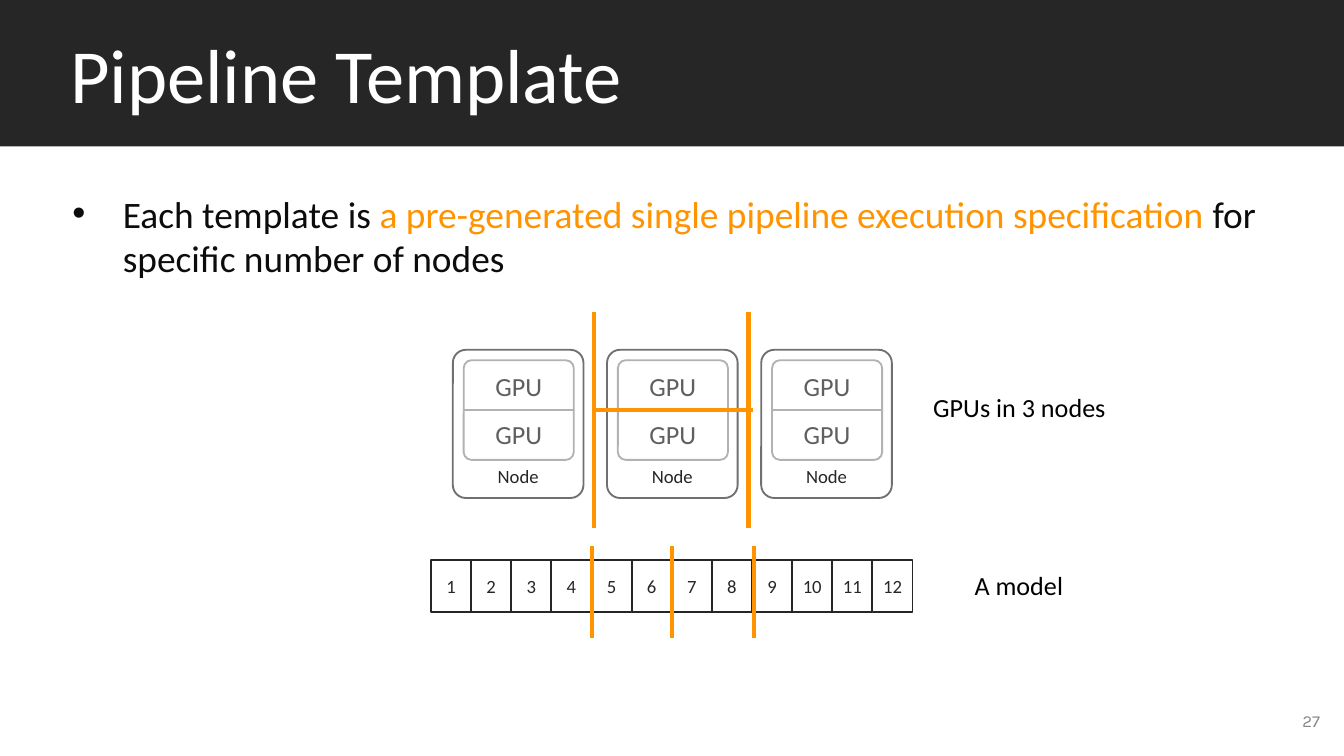
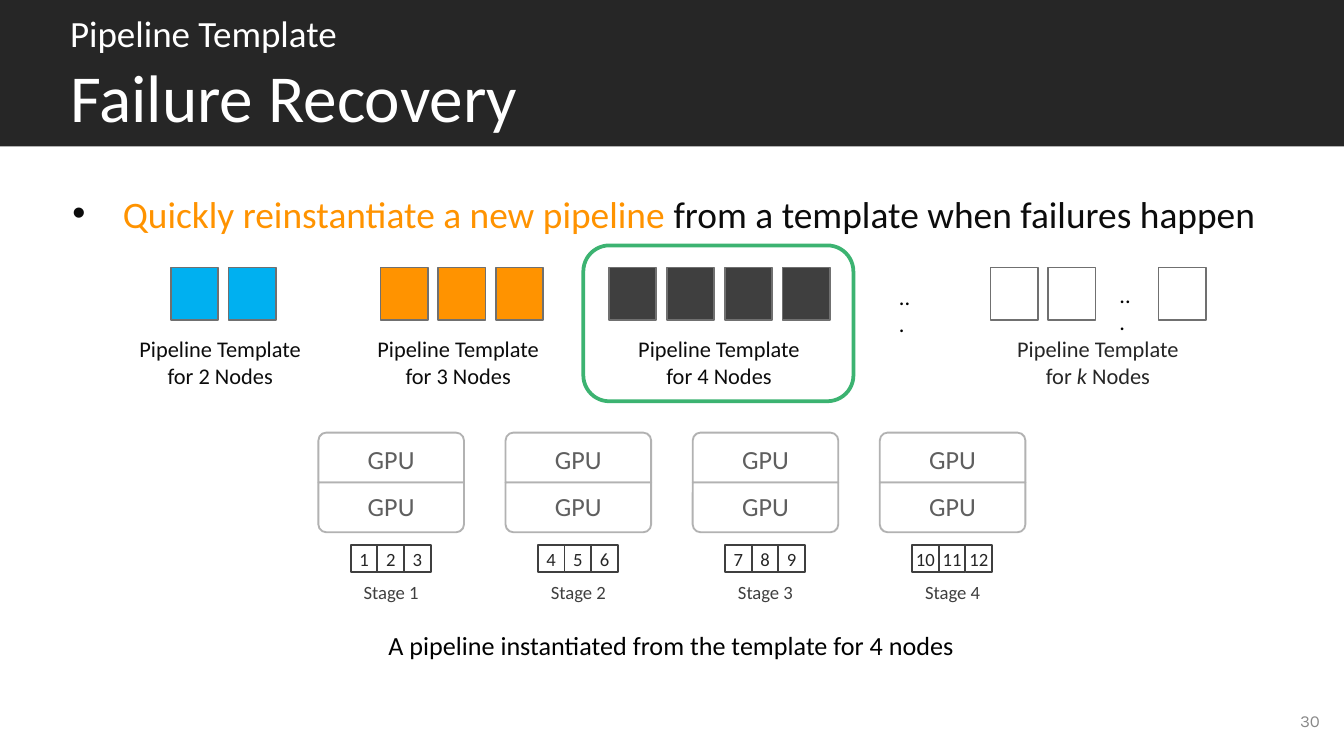
from dataclasses import dataclass
from typing import Optional

from lxml.etree import SubElement
from pptx import Presentation
from pptx.dml.color import RGBColor
from pptx.enum.shapes import MSO_CONNECTOR, MSO_SHAPE as Geometry
from pptx.enum.text import MSO_ANCHOR as Anchor, MSO_AUTO_SIZE, PP_ALIGN as Align
from pptx.oxml.ns import qn
from pptx.util import Pt

WHITE, BLACK, BAND, INK = "FFFFFF", "000000", "262626", "0C0C0C"
ORANGE, BLUE, CHARCOAL, GREEN = "FF9300", "00B0F0", "3F3F3F", "3CB371"
GPU_TEXT, GPU_LINE, OUTLINE, MUTED = "5F5F5F", "B2B2B2", "707070", "888888"

SLIDE_WIDTH, SLIDE_HEIGHT = 720, 405
GPU_HEIGHT = 26.7
GPU_CORNER = 0.16
SQUARE_TOP, SQUARE_WIDTH, SQUARE_HEIGHT, SQUARE_PITCH = 143.3, 25.3, 28.1, 31


@dataclass(frozen=True)
class Frame:
    """Position and size in points."""
    left: float
    top: float
    width: float
    height: float


@dataclass(frozen=True)
class Style:
    """Look of a piece of text."""
    size: float
    colour: str
    font: str = "Calibri"
    italic: bool = False


@dataclass(frozen=True)
class Run:
    """Text with its own style."""
    text: str
    style: Style


@dataclass(frozen=True)
class Look:
    """Geometry, fill and outline of a box."""
    geometry: Geometry = Geometry.RECTANGLE
    fill: Optional[str] = None
    line: Optional[str] = None
    weight: float = 1
    corners: tuple = ()


@dataclass(frozen=True)
class Template:
    """Row of node squares with a label below."""
    label: str
    label_left: float
    squares_left: float
    count: int
    colour: str


BODY, BODY_ACCENT = Style(20, INK), Style(20, ORANGE)
CAPTION, CELL, GPU = Style(14, BLACK), Style(10, BAND), Style(14, GPU_TEXT)
STAGE, LABEL, K_LABEL = Style(10, CHARCOAL), Style(12, INK), Style(12, BAND)
DOTS, PAGE = Style(12, BLACK), Style(9, MUTED, "Karla")

PLAIN = Look()
GPU_TOP = Look(Geometry.ROUND_2_SAME_RECTANGLE, WHITE, GPU_LINE, corners=(GPU_CORNER, 0))
GPU_BOTTOM = Look(Geometry.ROUND_2_SAME_RECTANGLE, WHITE, GPU_LINE, corners=(0, GPU_CORNER))
NODE = Look(Geometry.ROUNDED_RECTANGLE, line=OUTLINE, corners=(0.1,))
HIGHLIGHT = Look(Geometry.ROUNDED_RECTANGLE, line=GREEN, weight=2)

TEMPLATES = (
    Template("Pipeline Template\nfor 2 Nodes", 66.2, 91.4, 2, BLUE),
    Template("Pipeline Template\nfor 3 Nodes", 193.7, 203.8, 3, ORANGE),
    Template("Pipeline Template\nfor 4 Nodes", 333.4, 326.2, 4, CHARCOAL),
)


def rgb(colour: str) -> RGBColor:
    """Turn a hex string into a colour."""
    return RGBColor.from_string(colour)


def style_run(run, style: Style) -> None:
    """Apply a style to one run."""
    run.font.name = style.font
    run.font.size = Pt(style.size)
    run.font.italic = style.italic
    run.font.color.rgb = rgb(style.colour)


def append_runs(paragraph, runs: tuple) -> None:
    """Add styled runs to the end of a paragraph."""
    for piece in runs:
        run = paragraph.add_run()
        run.text = piece.text
        style_run(run, piece.style)


def set_text(text_frame, text: str, style: Style, align=Align.CENTER) -> None:
    """Write uniformly styled text."""
    text_frame.text = text
    for paragraph in text_frame.paragraphs:
        paragraph.alignment = align
        for run in paragraph.runs:
            style_run(run, style)


def set_margins(text_frame, left: float, top: float, right: float, bottom: float) -> None:
    """Set the four insets in points."""
    text_frame.margin_left, text_frame.margin_top = Pt(left), Pt(top)
    text_frame.margin_right, text_frame.margin_bottom = Pt(right), Pt(bottom)


def place(frame: Frame) -> tuple:
    """Convert a frame to lengths."""
    return Pt(frame.left), Pt(frame.top), Pt(frame.width), Pt(frame.height)


def add_box(slide, frame: Frame, look: Look, text: str = "", style: Style = CELL,
            anchor=Anchor.MIDDLE, wrap: bool = True):
    """Draw a preset shape with optional centred text."""
    shape = slide.shapes.add_shape(look.geometry, *place(frame))
    shape.shadow.inherit = False
    for index, corner in enumerate(look.corners):
        shape.adjustments[index] = corner
    if look.fill:
        shape.fill.solid()
        shape.fill.fore_color.rgb = rgb(look.fill)
    else:
        shape.fill.background()
    if look.line:
        shape.line.color.rgb = rgb(look.line)
        shape.line.width = Pt(look.weight)
    else:
        shape.line.fill.background()
    shape.text_frame.vertical_anchor = anchor
    shape.text_frame.word_wrap = wrap
    if text:
        set_text(shape.text_frame, text, style)
    return shape


def add_text(slide, frame: Frame, text: str, style: Style, align=Align.CENTER):
    """Add a text box that stays on one line."""
    shape = slide.shapes.add_textbox(*place(frame))
    shape.text_frame.word_wrap = False
    set_text(shape.text_frame, text, style, align)
    return shape


def add_divider(slide, x1: float, y1: float, x2: float, y2: float) -> None:
    """Draw an orange dividing line."""
    line = slide.shapes.add_connector(MSO_CONNECTOR.STRAIGHT, Pt(x1), Pt(y1), Pt(x2), Pt(y2))
    line.line.color.rgb = rgb(ORANGE)
    line.line.width = Pt(2.25)
    SubElement(line._element.spPr, qn("a:effectLst"))


def add_gpu_pair(slide, left: float, top: float, width: float) -> None:
    """Stack two GPUs."""
    for row, look in enumerate((GPU_TOP, GPU_BOTTOM)):
        add_box(slide, Frame(left, top + row * GPU_HEIGHT, width, GPU_HEIGHT), look, "GPU", GPU)


def add_layers(slide, frame: Frame, numbers: range, outline: str) -> None:
    """Draw numbered model layers side by side; the frame is the first one."""
    look = Look(fill=WHITE, line=outline)
    for index, number in enumerate(numbers):
        cell = Frame(frame.left + index * frame.width, frame.top, frame.width, frame.height)
        add_box(slide, cell, look, str(number), CELL, wrap=False)


def add_square(slide, left: float, colour: str) -> None:
    """Draw one node square."""
    frame = Frame(left, SQUARE_TOP, SQUARE_WIDTH, SQUARE_HEIGHT)
    add_box(slide, frame, Look(fill=colour, line=OUTLINE))


def add_template(slide, template: Template, style: Style):
    """Draw a template's squares and return its label."""
    for index in range(template.count):
        add_square(slide, template.squares_left + index * SQUARE_PITCH, template.colour)
    return add_box(slide, Frame(template.label_left, 172.8, 103.7, 42.5), PLAIN,
                   template.label, style)


def add_bullet(slide, runs: tuple) -> None:
    """Add the bulleted statement below the title."""
    shape = slide.shapes.add_textbox(*place(Frame(33.8, 97.2, 651.6, 272.9)))
    text_frame = shape.text_frame
    text_frame.word_wrap = True
    set_margins(text_frame, 5, 5, 5, 5)
    paragraph = text_frame.paragraphs[0]
    paragraph.space_after = Pt(10)
    properties = paragraph._p.get_or_add_pPr()
    properties.set("marL", str(Pt(27)))
    properties.set("indent", str(-Pt(27)))
    SubElement(SubElement(properties, qn("a:buClr")), qn("a:srgbClr"), val=INK)
    SubElement(properties, qn("a:buFont"), typeface="Arial")
    SubElement(properties, qn("a:buChar"), char="•")
    append_runs(paragraph, runs)


def start_slide(presentation, title_lines: tuple, page: int, statement: tuple):
    """Create a slide with its title band, statement and page number."""
    slide = presentation.slides.add_slide(presentation.slide_layouts[5])
    title = slide.shapes.title
    title.left, title.top, title.width, title.height = place(Frame(0, 0, SLIDE_WIDTH, 78.5))
    title.fill.solid()
    title.fill.fore_color.rgb = rgb(BAND)
    text_frame = title.text_frame
    text_frame.text = "\n".join(line.text for line in title_lines)
    text_frame.auto_size = MSO_AUTO_SIZE.NONE
    text_frame.word_wrap = True
    text_frame.vertical_anchor = Anchor.MIDDLE
    set_margins(text_frame, 37.5, 3, 5, 3)
    for paragraph, line in zip(text_frame.paragraphs, title_lines):
        paragraph.alignment = Align.LEFT
        style_run(paragraph.runs[0], line.style)
    add_bullet(slide, statement)
    number = add_text(slide, Frame(544.3, 375.1, 167.8, 21.6), str(page), PAGE, Align.RIGHT)
    number.text_frame.word_wrap = True
    number.text_frame.vertical_anchor = Anchor.MIDDLE
    set_margins(number.text_frame, 5, 3, 5, 3)
    return slide


def build_pipeline_template(presentation) -> None:
    """Build the slide that splits nodes and layers into stages."""
    slide = start_slide(presentation, (Run("Pipeline Template", Style(41, WHITE)),), 27, (
        Run("Each template is ", BODY),
        Run("a pre-generated single pipeline execution specification", BODY_ACCENT),
        Run(" for specific number of nodes", BODY)))
    add_layers(slide, Frame(230.9, 300.2, 21.5, 27.6), range(1, 13), BAND)
    add_text(slide, Frame(491.8, 206, 108.7, 24.5), "GPUs in 3 nodes", CAPTION)
    add_text(slide, Frame(514.1, 301.7, 63.4, 24.5), "A model", CAPTION)
    for index in range(3):
        left = 242.6 + index * 82.6
        add_gpu_pair(slide, left + 5.8, 193, 59)
        add_box(slide, Frame(left, 187.4, 70, 79.4), NODE, "Node", CELL, Anchor.BOTTOM)
    for x in (318.2, 401):
        add_divider(slide, x, 167, x, 283)
    for x in (317, 360, 403.9):
        add_divider(slide, x, 292.3, x, 342)
    add_divider(slide, 403.2, 219.6, 318.2, 219.6)


def build_failure_recovery(presentation) -> None:
    """Build the slide that instantiates a pipeline from a template."""
    slide = start_slide(presentation, (
        Run("Pipeline Template", Style(19.8, WHITE)),
        Run("Failure Recovery", Style(36, WHITE))), 30, (
        Run("Quickly reinstantiate a new pipeline", BODY_ACCENT),
        Run(" from a template when failures happen", BODY)))
    add_text(slide, Frame(187.2, 333.4, 344.9, 24.5),
             "A pipeline instantiated from the template for 4 nodes", CAPTION)
    for index in range(4):
        left = 170.6 + index * 100.25
        first = 3 * index + 1
        add_gpu_pair(slide, left, 231.8, 78)
        add_layers(slide, Frame(left + 17.3, 292.2, 14.3, 14.4), range(first, first + 3), CHARCOAL)
        add_text(slide, Frame(left + 17, 307.6, 44, 19.4), f"Stage {index + 1}", STAGE)
    for template in TEMPLATES:
        add_template(slide, template, LABEL)
    label = add_template(
        slide, Template("Pipeline Template\nfor ", 536.4, 530.6, 2, WHITE), K_LABEL)
    append_runs(label.text_frame.paragraphs[-1], (
        Run("k", Style(12, BAND, italic=True)), Run(" Nodes", K_LABEL)))
    add_square(slide, 620.6, WHITE)
    for left, top in ((474.5, 148.3), (592.6, 146.9)):
        add_text(slide, Frame(left, top, 22.3, 20.2), "...", DOTS, Align.LEFT)
    add_box(slide, Frame(312.5, 131.5, 144.7, 83.5), HIGHLIGHT)


def main() -> None:
    """Build and save the presentation."""
    presentation = Presentation()
    presentation.slide_width, presentation.slide_height = Pt(SLIDE_WIDTH), Pt(SLIDE_HEIGHT)
    build_pipeline_template(presentation)
    build_failure_recovery(presentation)
    presentation.save("out.pptx")


if __name__ == "__main__":
    main()
